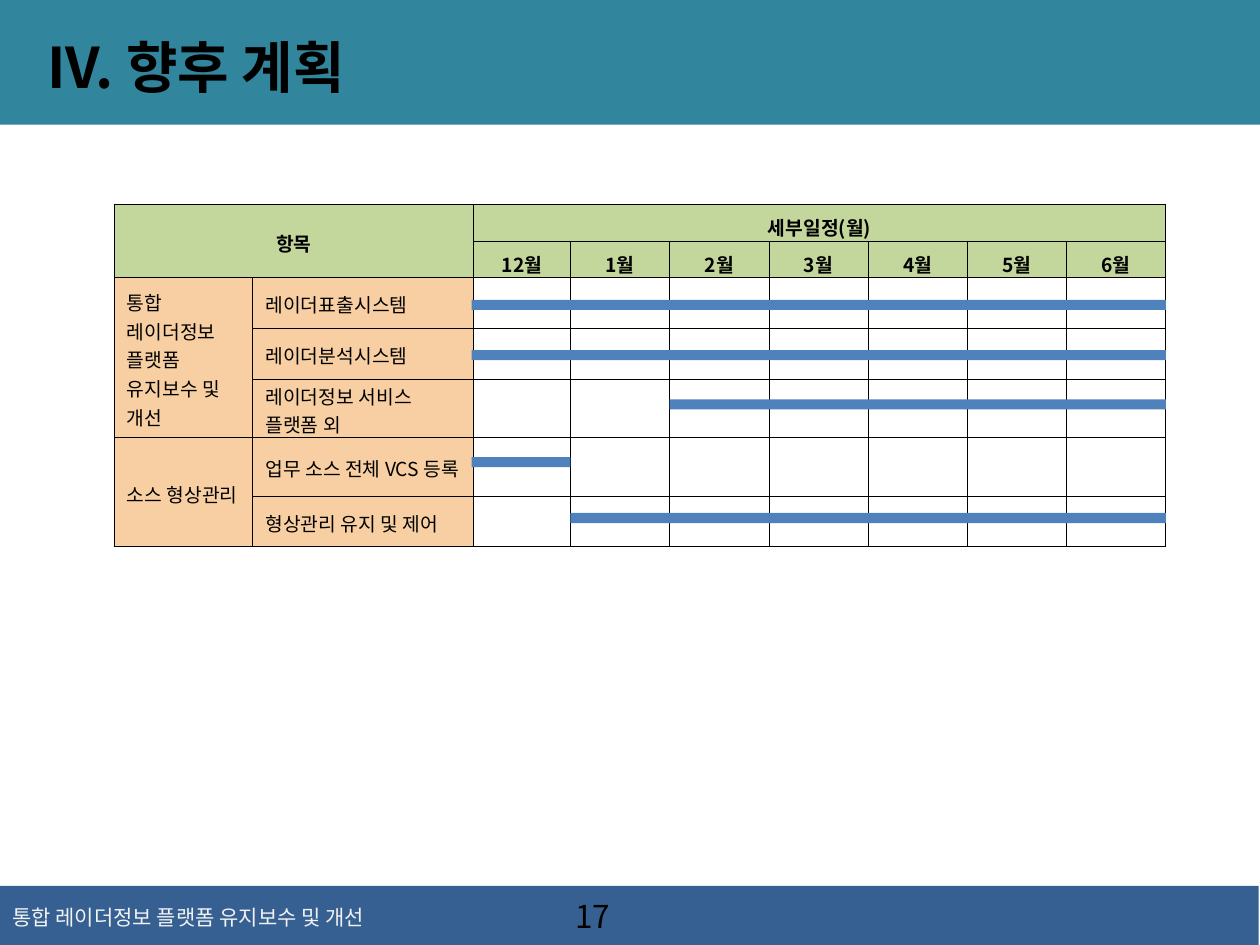
from dataclasses import dataclass
from itertools import accumulate

from lxml.etree import SubElement
from pptx import Presentation
from pptx.dml.color import RGBColor
from pptx.enum.shapes import MSO_SHAPE
from pptx.enum.text import MSO_ANCHOR, PP_ALIGN
from pptx.oxml import parse_xml
from pptx.oxml.ns import nsdecls, qn
from pptx.util import Pt


@dataclass(frozen=True)
class Theme:
    font: str = "Noto Sans CJK KR"
    title_band: str = "31859C"
    footer_band: str = "376092"
    footer_text: str = "F2F2F2"
    text: str = "000000"
    header: str = "C3D69B"
    item: str = "F7CFA3"
    bar: str = "4F81BD"
    title_size: int = 32
    page_size: int = 18
    footer_size: int = 12
    table_size: int = 11


THEME = Theme()

# Schedule grid
COLUMN_WIDTHS = [79.2, 126, 55.5] + [56.7] * 6
ROW_HEIGHTS = [21, 21, 29, 29, 33.5, 33.5, 28.5]
MONTHS = ["12월", "1월", "2월", "3월", "4월", "5월", "6월"]
GROUPS = [
    (["통합", "레이더정보", "플랫폼", "유지보수 및 개선"], 3),
    (["소스 형상관리"], 2),
]
# Item lines, first month, last month, bar offset below the row top
TASKS = [
    (["레이더표출시스템"], 0, 6, 12.6),
    (["레이더분석시스템"], 0, 6, 12.3),
    (["레이더정보 서비스", "플랫폼 외"], 2, 6, 11.5),
    (["업무 소스 전체 VCS 등록"], 0, 0, 11),
    (["형상관리 유지 및 제어"], 1, 6, 9.4),
]
HEADER_ROWS = 2
ITEM_COLUMNS = 2
BAR_HEIGHT = 5.8


def set_values(target, values):
    for name, value in values.items():
        setattr(target, name, value)


def write_lines(frame, lines, size, color, bold=False, **paragraph_values):
    for index, line in enumerate(lines):
        paragraph = frame.paragraphs[0] if index == 0 else frame.add_paragraph()
        set_values(paragraph, paragraph_values)
        run = paragraph.add_run()
        run.text = line
        set_values(run.font, {"name": THEME.font, "size": Pt(size), "bold": bold})
        run.font.color.rgb = RGBColor.from_string(color)
        east_asian = SubElement(run.font._element, qn("a:ea"))
        east_asian.set("typeface", THEME.font)


def add_band(slide, box, color):
    shape = slide.shapes.add_shape(MSO_SHAPE.RECTANGLE, *map(Pt, box))
    shape.shadow.inherit = False
    shape.fill.solid()
    shape.fill.fore_color.rgb = RGBColor.from_string(color)
    shape.line.fill.background()


def add_text(slide, box, text, size, color, bold=False, wrap=True):
    shape = slide.shapes.add_textbox(*map(Pt, box))
    shape.text_frame.word_wrap = wrap
    write_lines(shape.text_frame, [text], size, color, bold)
    return shape


def add_title(slide, box):
    left, top, width, height = box
    add_band(slide, box, THEME.title_band)
    title = add_text(slide, (left + 20, top + 15, 201, 46), "향후 계획",
                     THEME.title_size, THEME.text, bold=True, wrap=False)
    # Roman numbering that starts at IV
    properties = title.text_frame.paragraphs[0]._p.get_or_add_pPr()
    set_indent = {"marL": Pt(45), "indent": -Pt(45)}
    for name, value in set_indent.items():
        properties.set(name, str(value))
    SubElement(properties, qn("a:buAutoNum"), type="romanUcPeriod", startAt="4")


def add_footer(slide, box):
    left, top, width, height = box
    add_band(slide, box, THEME.footer_band)
    add_text(slide, (left + 0.7, top + 7.2, 322, 22), "통합 레이더정보 플랫폼 유지보수 및 개선",
             THEME.footer_size, THEME.footer_text)
    add_text(slide, (left + 322.5, top + 2.9, 168, 29), "17", THEME.page_size, THEME.text)


def format_cell(cell, color=None):
    set_values(cell, {"margin_top": Pt(1.5), "margin_bottom": Pt(0),
                      "vertical_anchor": MSO_ANCHOR.MIDDLE})
    if color:
        cell.fill.solid()
        cell.fill.fore_color.rgb = RGBColor.from_string(color)
    else:
        cell.fill.background()
    properties = cell._tc.get_or_add_tcPr()
    for index, side in enumerate("LRTB"):
        properties.insert(index, parse_xml(
            f'<a:ln{side} {nsdecls("a")} w="{Pt(0.5)}"><a:solidFill>'
            f'<a:srgbClr val="{THEME.text}"/></a:solidFill></a:ln{side}>'))


def write_header(cell, text, anchor=MSO_ANCHOR.BOTTOM):
    cell.vertical_anchor = anchor
    write_lines(cell.text_frame, [text], THEME.table_size, THEME.text, bold=True,
                alignment=PP_ALIGN.CENTER, line_spacing=1.03)


def add_schedule(slide, box):
    row_count, column_count = len(ROW_HEIGHTS), len(COLUMN_WIDTHS)
    table = slide.shapes.add_table(row_count, column_count, *map(Pt, box)).table
    set_values(table, {"first_row": False, "horz_banding": False})
    for column, width in zip(table.columns, COLUMN_WIDTHS):
        column.width = Pt(width)
    for row, height in zip(table.rows, ROW_HEIGHTS):
        row.height = Pt(height)

    # Fills and borders
    for row in range(row_count):
        for column in range(column_count):
            color = THEME.item if column < ITEM_COLUMNS else None
            format_cell(table.cell(row, column),
                        THEME.header if row < HEADER_ROWS else color)

    # Headings
    table.cell(0, 0).merge(table.cell(HEADER_ROWS - 1, ITEM_COLUMNS - 1))
    table.cell(0, ITEM_COLUMNS).merge(table.cell(0, column_count - 1))
    write_header(table.cell(0, 0), "항목", MSO_ANCHOR.MIDDLE)
    write_header(table.cell(0, ITEM_COLUMNS), "세부일정(월)")
    for column, month in enumerate(MONTHS, ITEM_COLUMNS):
        write_header(table.cell(1, column), month)

    # Groups and items
    row = HEADER_ROWS
    for lines, span in GROUPS:
        table.cell(row, 0).merge(table.cell(row + span - 1, 0))
        write_lines(table.cell(row, 0).text_frame, lines, THEME.table_size,
                    THEME.text, line_spacing=1.03)
        row += span
    for row, task in enumerate(TASKS, HEADER_ROWS):
        write_lines(table.cell(row, 1).text_frame, task[0], THEME.table_size, THEME.text)


def add_bars(slide, box):
    left, top, width, height = box
    edges = list(accumulate(COLUMN_WIDTHS, initial=left))[ITEM_COLUMNS:]
    row_tops = list(accumulate(ROW_HEIGHTS, initial=top))[HEADER_ROWS:]
    for (_, first, last, offset), row_top in zip(TASKS, row_tops):
        start, end = edges[first], edges[last + 1]
        if first == 0:
            start -= 1  # the first month's bars overlap the item column
        add_band(slide, (start, row_top + offset, end - start, BAR_HEIGHT), THEME.bar)


def main():
    presentation = Presentation()
    set_values(presentation, {"slide_width": Pt(720), "slide_height": Pt(540)})
    slide = presentation.slides.add_slide(presentation.slide_layouts[6])
    schedule_box = (65.3, 116.7, sum(COLUMN_WIDTHS), sum(ROW_HEIGHTS))
    add_title(slide, (0, 0, 720, 71.3))
    add_footer(slide, (-0.7, 506.2, 720, 36))
    add_schedule(slide, schedule_box)
    add_bars(slide, schedule_box)
    presentation.save("out.pptx")


if __name__ == "__main__":
    main()
